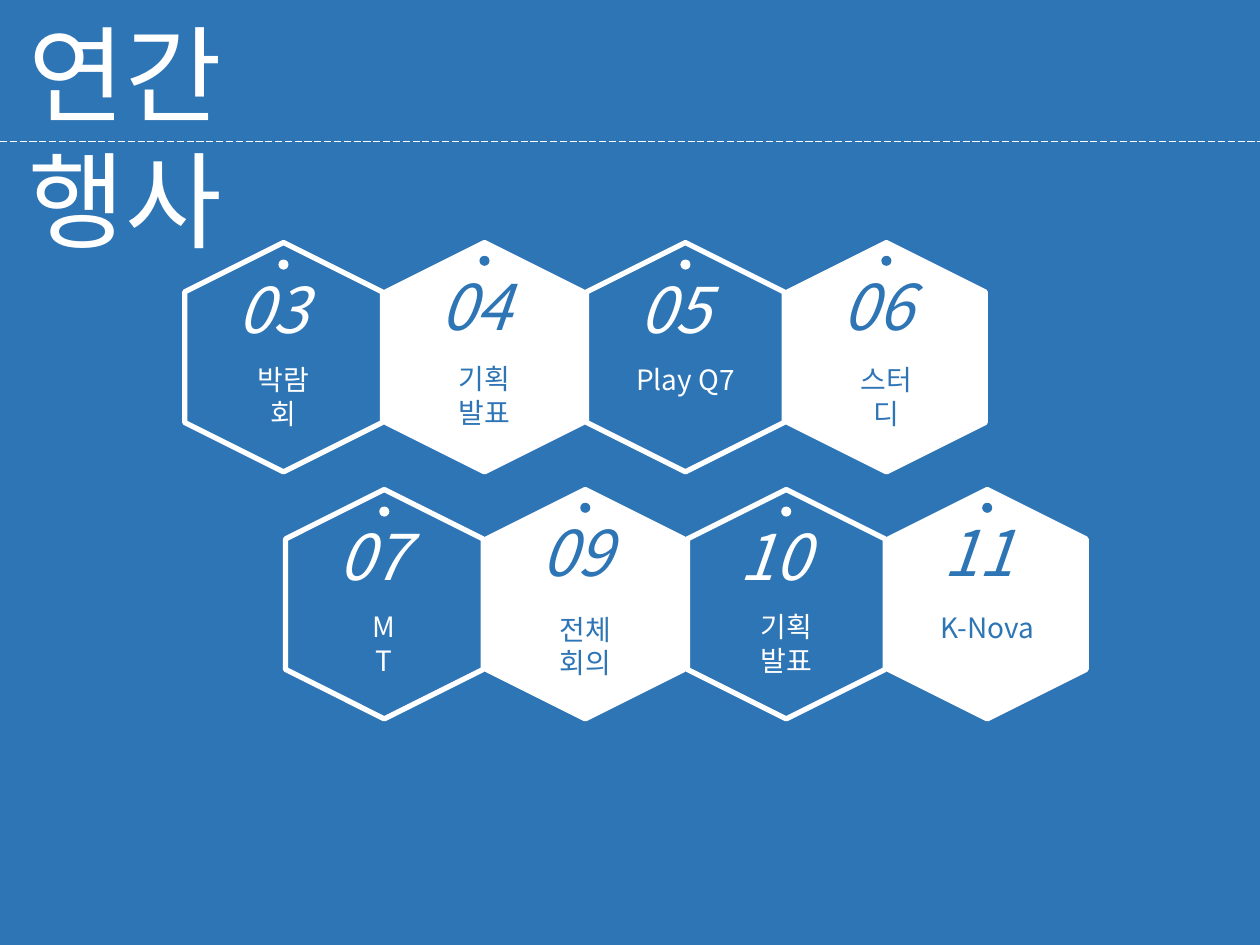
from dataclasses import dataclass

import pptx
import pptx.dml.color
import pptx.enum.dml
import pptx.enum.shapes
import pptx.enum.text
import pptx.oxml.ns
import pptx.oxml.xmlchemy
import pptx.util
from pptx.util import Inches, Pt
from lxml import etree

BLUE = pptx.dml.color.RGBColor(0x2E, 0x75, 0xB6)
WHITE = pptx.dml.color.RGBColor(0xFF, 0xFF, 0xFF)
FONT = "Noto Sans CJK KR"
SHAPE = pptx.enum.shapes.MSO_SHAPE
ALIGN = pptx.enum.text.PP_ALIGN
qn = pptx.oxml.ns.qn

# All lengths are in inches.
HEX_W, HEX_H = 1.82, 1.57
STEP_X, STEP_Y = 1.595, 1.96
ROW_SHIFT = 0.8
FIRST_X, FIRST_Y = 2.25, 2.05
DOT = 0.08


@dataclass
class Event:
    month: str
    label: str
    label_w: float
    label_dy: float = 0.78


ROWS = [
    [
        Event("03", "박람회", 0.78),
        Event("04", "기획 발표", 1.06, 0.77),
        Event("05", "Play Q7", 1.05),
        Event("06", "스터디", 0.78),
    ],
    [
        Event("07", "MT", 0.5),
        Event("09", "전체 회의", 1.06, 0.8),
        Event("10", "기획 발표", 1.06),
        Event("11", "K-Nova", 0.96, 0.79),
    ],
]


def add_text(s, text: str, x: float, y: float, w: float, h: float, size: int,
             color, align=ALIGN.CENTER, italic: bool = False) -> None:
    tf = s.shapes.add_textbox(Inches(x), Inches(y), Inches(w), Inches(h)).text_frame
    tf.word_wrap = True
    tf.auto_size = pptx.enum.text.MSO_AUTO_SIZE.SHAPE_TO_FIT_TEXT
    p = tf.paragraphs[0]
    p.text = text
    p.alignment = align
    p.font.size = Pt(size)
    p.font.italic = italic
    p.font.color.rgb = color
    p.font.name = FONT
    # Korean glyphs take the East Asian typeface
    etree.SubElement(p._p.pPr.find(qn("a:defRPr")), qn("a:ea"), typeface=FONT)


def add_event(s, event: Event, cx: float, top: float, filled: bool) -> None:
    """Draw one month's hexagon centred on cx, filled white or outlined only."""
    ink = BLUE if filled else WHITE
    lift = 0.03 if filled else 0

    sp = s.shapes.add_shape(SHAPE.HEXAGON, Inches(cx - HEX_W / 2), Inches(top),
                            Inches(HEX_W), Inches(HEX_H))
    sp.rotation = 90
    sp.shadow.inherit = False
    if filled:
        sp.fill.solid()
        sp.fill.fore_color.rgb = WHITE
    else:
        sp.fill.background()
    sp.line.color.rgb = WHITE
    sp.line.width = Pt(3)

    dot = s.shapes.add_shape(SHAPE.OVAL, Inches(cx - DOT / 2), Inches(top + 0.01 - lift),
                             Inches(DOT), Inches(DOT))
    dot.shadow.inherit = False
    dot.fill.solid()
    dot.fill.fore_color.rgb = ink
    dot.line.fill.background()

    month_x = cx - (0.48 if filled else 0.5)
    add_text(s, event.month, month_x, top + 0.05 - lift, 0.82, 0.71, 36, ink, italic=True)
    add_text(s, event.label, cx - event.label_w / 2, top + event.label_dy,
             event.label_w, 0.37, 16, ink)


def add_divider(s, y: float) -> None:
    line = s.shapes.add_connector(pptx.enum.shapes.MSO_CONNECTOR.STRAIGHT,
                                  Inches(0), Inches(y), Inches(10), Inches(y))
    line.line.color.rgb = WHITE
    line.line.width = Pt(0.5)
    line.line.dash_style = pptx.enum.dml.MSO_LINE.LONG_DASH
    etree.SubElement(line._element.spPr, qn("a:effectLst"))


def main() -> None:
    prs = pptx.Presentation()
    prs.slide_width, prs.slide_height = Inches(10), Inches(7.5)
    s = prs.slides.add_slide(prs.slide_layouts[6])
    s.background.fill.solid()
    s.background.fill.fore_color.rgb = BLUE

    add_divider(s, 1.12)
    add_text(s, "연간 행사", 0.13, 0.03, 3.4, 1.11, 60, WHITE, ALIGN.LEFT)
    for row, events in enumerate(ROWS):
        for col, event in enumerate(events):
            add_event(s, event, FIRST_X + row * ROW_SHIFT + col * STEP_X,
                      FIRST_Y + row * STEP_Y, filled=col % 2 == 1)
    prs.save("out.pptx")


if __name__ == "__main__":
    main()
